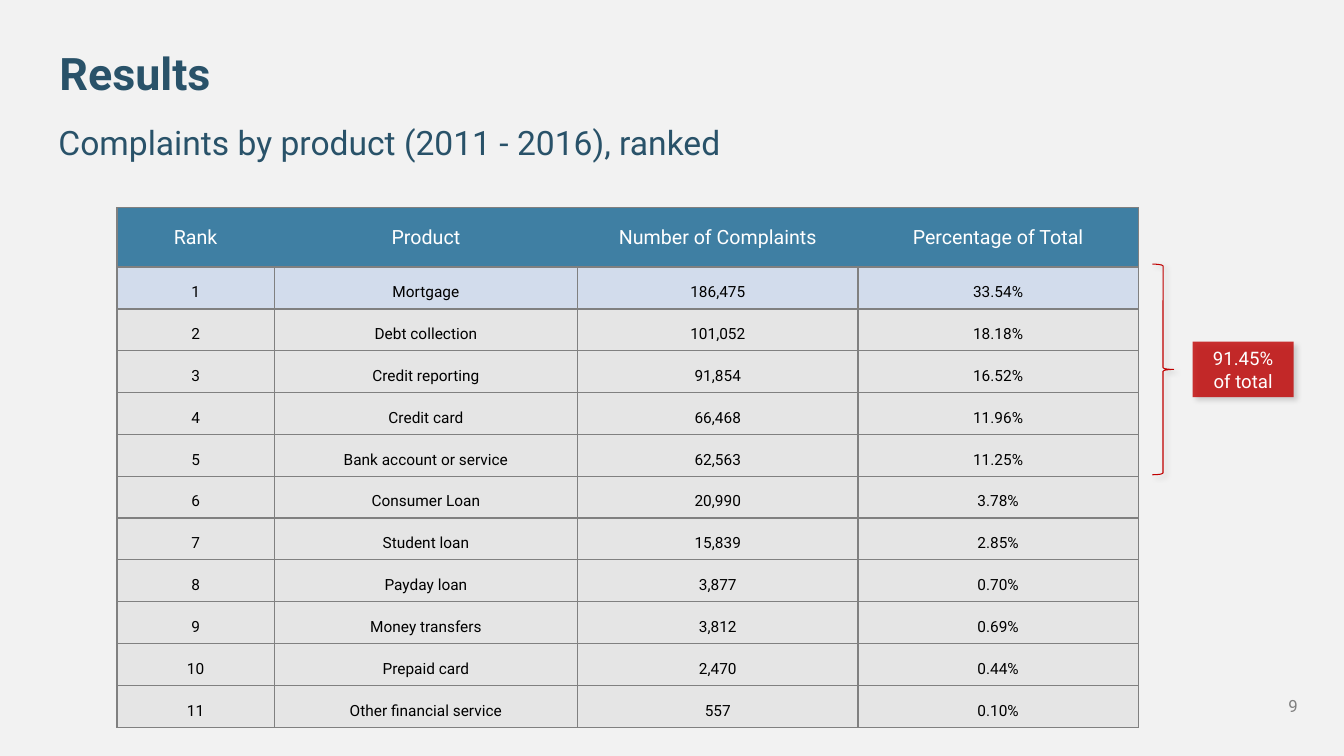
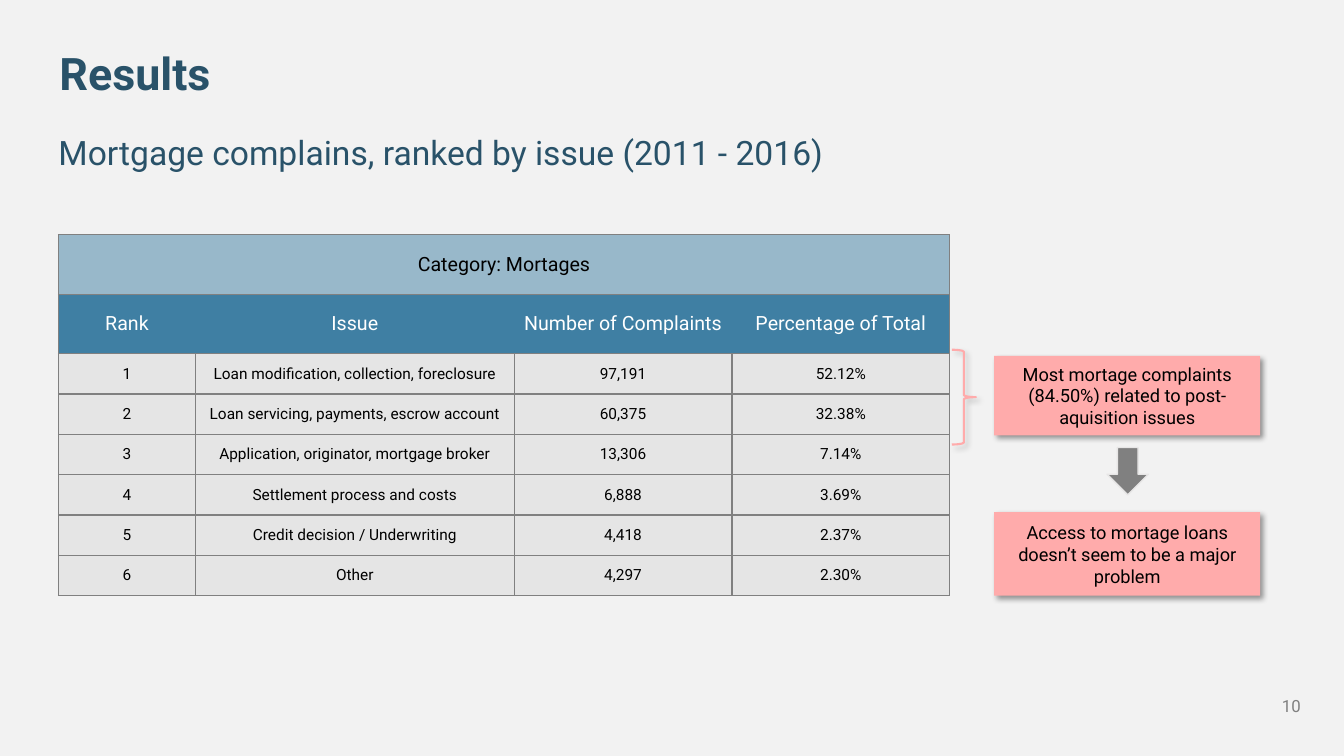
"""Build two results slides with ranked complaint tables and callouts."""
from lxml import etree
from pptx import Presentation
from pptx.dml.color import RGBColor
from pptx.enum.shapes import MSO_SHAPE
from pptx.enum.text import MSO_ANCHOR, PP_ALIGN
from pptx.oxml.ns import qn
from pptx.util import Inches, Pt

LEFT, CENTER, RIGHT = PP_ALIGN.LEFT, PP_ALIGN.CENTER, PP_ALIGN.RIGHT
MIDDLE, BOTTOM = MSO_ANCHOR.MIDDLE, MSO_ANCHOR.BOTTOM
BRACE, BOX, ARROW = MSO_SHAPE.RIGHT_BRACE, MSO_SHAPE.RECTANGLE, MSO_SHAPE.DOWN_ARROW
FONT = "Roboto"
COLOURS = {
    "background": "F2F2F2",
    "title": "295269",
    "header": "3F7FA3",
    "highlight": "B4C7E7",
    "body": "D9D9D9",
    "grey": "808080",
    "pale": "E7E6E6",
    "red": "C00000",
    "pink": "FFABAB",
    "white": "FFFFFF",
    "black": "000000",
}
ROW_STYLES = {
    "category": {"height": 0.59, "fill": "header", "opacity": 50, "size": 14, "text": "black"},
    "header": {"height": 0.59, "fill": "header", "opacity": 100, "size": 14, "text": "white"},
    "highlight": {"height": 0.4, "fill": "highlight", "opacity": 50, "size": 11, "text": "black"},
    "body": {"height": 0.4, "fill": "body", "opacity": 50, "size": 11, "text": "black"},
}
PINK_BOX = {
    "kind": BOX, "fill": "pink", "shadow": 40, "size": 13, "text_colour": "black",
    "margins": (0.13, 0.07),
}

SLIDES = [
    {
        "number": "9",
        "number_left": 12.17,
        "subtitle": "Complaints by product (2011 - 2016), ranked",
        "subtitle_top": 1.05,
        "table_at": (1.16, 2.06),
        "columns": (1.56, 3.01, 2.78, 2.78),
        "cell_margin": 0.07,
        "line_spacing": 1.5,
        "rows": [
            ("header", "Rank", "Product", "Number of Complaints", "Percentage of Total"),
            ("highlight", "1", "Mortgage", "186,475", "33.54%"),
            ("body", "2", "Debt collection", "101,052", "18.18%"),
            ("body", "3", "Credit reporting", "91,854", "16.52%"),
            ("body", "4", "Credit card", "66,468", "11.96%"),
            ("body", "5", "Bank account or service", "62,563", "11.25%"),
            ("body", "6", "Consumer Loan", "20,990", "3.78%"),
            ("body", "7", "Student loan", "15,839", "2.85%"),
            ("body", "8", "Payday loan", "3,877", "0.70%"),
            ("body", "9", "Money transfers", "3,812", "0.69%"),
            ("body", "10", "Prepaid card", "2,470", "0.44%"),
            ("body", "11", "Other financial service", "557", "0.10%"),
        ],
        "shapes": [
            {"kind": BRACE, "at": (11.43, 2.62, 0.21, 2.09), "line": ("red", 0.75), "shadow": 20},
            {"kind": BOX, "at": (11.83, 3.39, 1, 0.55), "fill": "red", "opacity": 80,
             "shadow": 20, "text": "91.45%\nof total", "size": 13.3, "text_colour": "white",
             "margins": (0.1, 0.05)},
        ],
    },
    {
        "number": "10",
        "number_left": 12.2,
        "subtitle": "Mortgage complains, ranked by issue (2011 - 2016)",
        "subtitle_top": 1.15,
        "table_at": (0.58, 2.33),
        "columns": (1.36, 3.16, 2.16, 2.16),
        "cell_margin": 0.04,
        "line_spacing": 1.0,
        "rows": [
            ("category", "Category: Mortages", "", "", ""),
            ("header", "Rank", "Issue", "Number of Complaints", "Percentage of Total"),
            ("body", "1", "Loan modification, collection, foreclosure", "97,191", "52.12%"),
            ("body", "2", "Loan servicing, payments, escrow account", "60,375", "32.38%"),
            ("body", "3", "Application, originator, mortgage broker", "13,306", "7.14%"),
            ("body", "4", "Settlement process and costs", "6,888", "3.69%"),
            ("body", "5", "Credit decision / Underwriting", "4,418", "2.37%"),
            ("body", "6", "Other", "4,297", "2.30%"),
        ],
        "shapes": [
            {"kind": BRACE, "at": (9.44, 3.47, 0.24, 0.94), "line": ("pink", 1.5), "shadow": 20},
            {**PINK_BOX, "at": (9.86, 3.53, 2.64, 0.79),
             "text": "Most mortage complaints (84.50%) related to post-aquisition issues"},
            {"kind": ARROW, "at": (10.98, 4.44, 0.41, 0.47), "fill": "grey", "line": ("pale", 1)},
            {**PINK_BOX, "at": (9.86, 5.08, 2.64, 0.83),
             "text": "Access to mortage loans doesn’t seem to be a major problem"},
        ],
    },
]


def paint(fill, properties, colour, opacity=100):
    """Give a shape or cell a solid fill, translucent when opacity is below 100."""
    fill.solid()
    fill.fore_color.rgb = RGBColor.from_string(COLOURS[colour])
    if opacity < 100:
        tint = properties.find(qn("a:solidFill")).find(qn("a:srgbClr"))
        etree.SubElement(tint, qn("a:alpha"), val=str(opacity * 1000))


def write(holder, text, size, colour, alignment, anchor, margins, bold=False, spacing=1.0):
    """Put formatted text into a shape, text box or table cell."""
    frame = holder.text_frame
    box = holder if hasattr(holder, "margin_left") else frame
    box.margin_left = box.margin_right = Inches(margins[0])
    box.margin_top = box.margin_bottom = Inches(margins[1])
    box.vertical_anchor = anchor
    frame.word_wrap = True
    frame.text = text
    for paragraph in frame.paragraphs:
        paragraph.alignment = alignment
        paragraph.line_spacing = spacing
        for run in paragraph.runs:
            run.font.name = FONT
            run.font.size = Pt(size)
            run.font.bold = bold
            run.font.color.rgb = RGBColor.from_string(COLOURS[colour])


presentation = Presentation()
presentation.slide_width = Inches(13.33)
presentation.slide_height = Inches(7.5)
background = presentation.slide_master.background.fill
background.solid()
background.fore_color.rgb = RGBColor.from_string(COLOURS["background"])

for content in SLIDES:
    slide = presentation.slides.add_slide(presentation.slide_layouts[6])

    labels = [
        ((0.46, 0.21, 12.42, 0.91), "Results", 32, "title", LEFT, BOTTOM, 0.13, True),
        ((0.45, content["subtitle_top"], 12.42, 0.69), content["subtitle"],
         24, "title", LEFT, BOTTOM, 0.13, False),
        ((content["number_left"], 6.72, 0.8, 0.57), content["number"],
         12, "grey", RIGHT, MIDDLE, 0.1, False),
    ]
    for position, text, size, colour, alignment, anchor, margin, bold in labels:
        label = slide.shapes.add_textbox(*map(Inches, position))
        write(label, text, size, colour, alignment, anchor, (margin, margin), bold)

    rows, columns = content["rows"], content["columns"]
    heights = [ROW_STYLES[row[0]]["height"] for row in rows]
    table = slide.shapes.add_table(
        len(rows), len(columns), *map(Inches, content["table_at"]),
        Inches(sum(columns)), Inches(sum(heights)),
    ).table
    table.first_row = table.horz_banding = False
    for column, width in zip(table.columns, columns):
        column.width = Inches(width)
    for row_index, (kind, *texts) in enumerate(rows):
        style = ROW_STYLES[kind]
        table.rows[row_index].height = Inches(style["height"])
        if kind == "category":
            table.cell(row_index, 0).merge(table.cell(row_index, len(columns) - 1))
        for column_index, text in enumerate(texts):
            cell = table.cell(row_index, column_index)
            spacing = 1.0 if kind == "header" else content["line_spacing"]
            margin = content["cell_margin"]
            write(cell, text, style["size"], style["text"], CENTER, MIDDLE,
                  (margin, margin), spacing=spacing)
            properties = cell._tc.get_or_add_tcPr()
            hidden = set()
            if kind == "header":
                hidden = {"L"} if column_index > 0 else set()
                hidden |= {"R"} if column_index < len(columns) - 1 else set()
            for side in "LRTB":
                border = etree.SubElement(properties, qn(f"a:ln{side}"), w=str(Pt(1)))
                if side in hidden:
                    etree.SubElement(border, qn("a:noFill"))
                else:
                    stroke = etree.SubElement(border, qn("a:solidFill"))
                    etree.SubElement(stroke, qn("a:srgbClr"), val=COLOURS["grey"])
            paint(cell.fill, properties, style["fill"], style["opacity"])

    for item in content["shapes"]:
        shape = slide.shapes.add_shape(item["kind"], *map(Inches, item["at"]))
        properties = shape._element.spPr
        if "fill" in item:
            paint(shape.fill, properties, item["fill"], item.get("opacity", 100))
        else:
            shape.fill.background()
        if "line" in item:
            line_colour, line_width = item["line"]
            shape.line.color.rgb = RGBColor.from_string(COLOURS[line_colour])
            shape.line.width = Pt(line_width)
        else:
            shape.line.fill.background()
        shape.shadow.inherit = False
        if "shadow" in item:
            effects = properties.find(qn("a:effectLst"))
            shadow = etree.SubElement(
                effects, qn("a:outerShdw"), blurRad=str(Pt(4)), dist=str(Pt(3)),
                dir=str(45 * 60000), algn="tl", rotWithShape="0",
            )
            tint = etree.SubElement(shadow, qn("a:srgbClr"), val=COLOURS["black"])
            etree.SubElement(tint, qn("a:alpha"), val=str(item["shadow"] * 1000))
        if "text" in item:
            write(shape, item["text"], item["size"], item["text_colour"], CENTER, MIDDLE,
                  item["margins"])

presentation.save("out.pptx")
